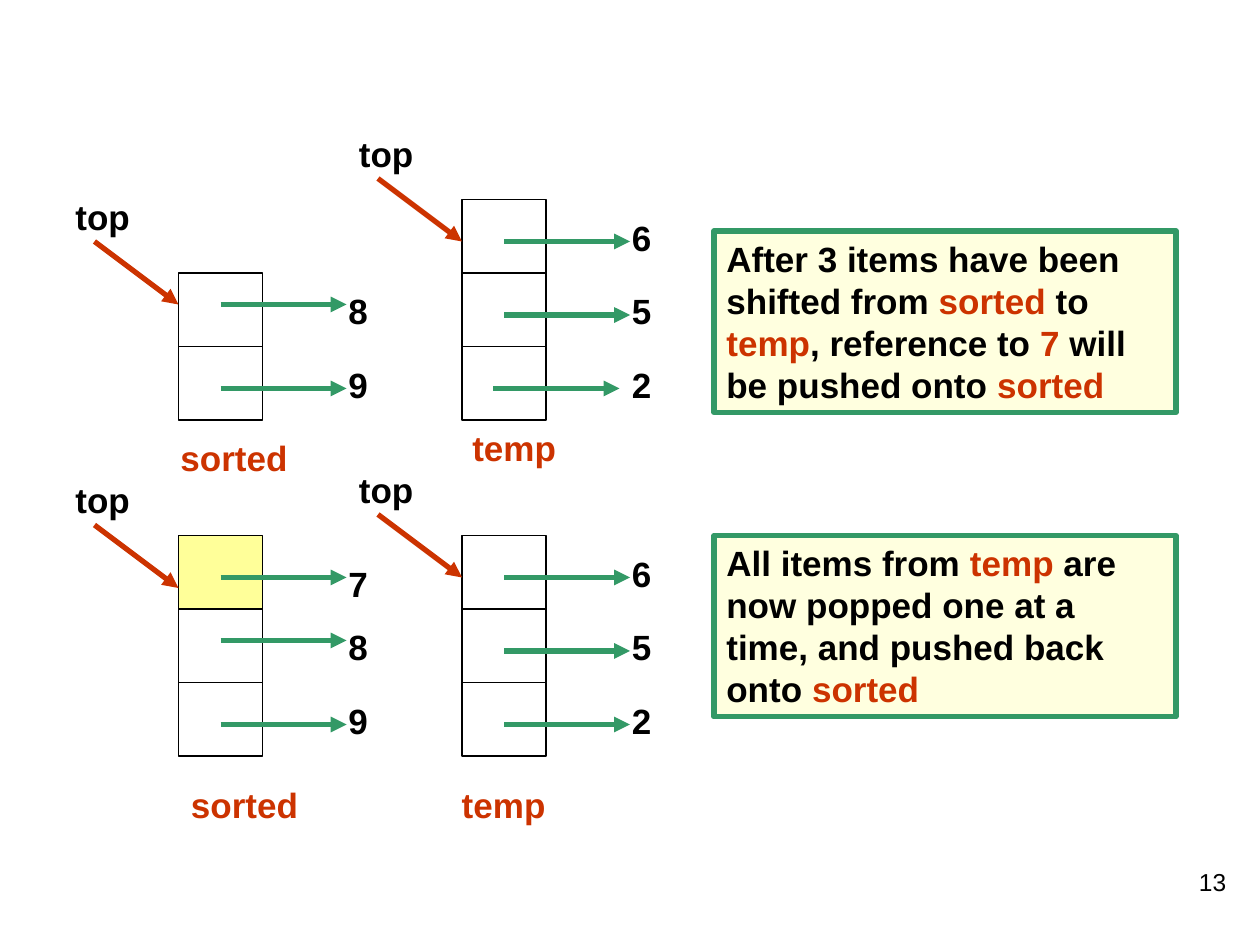
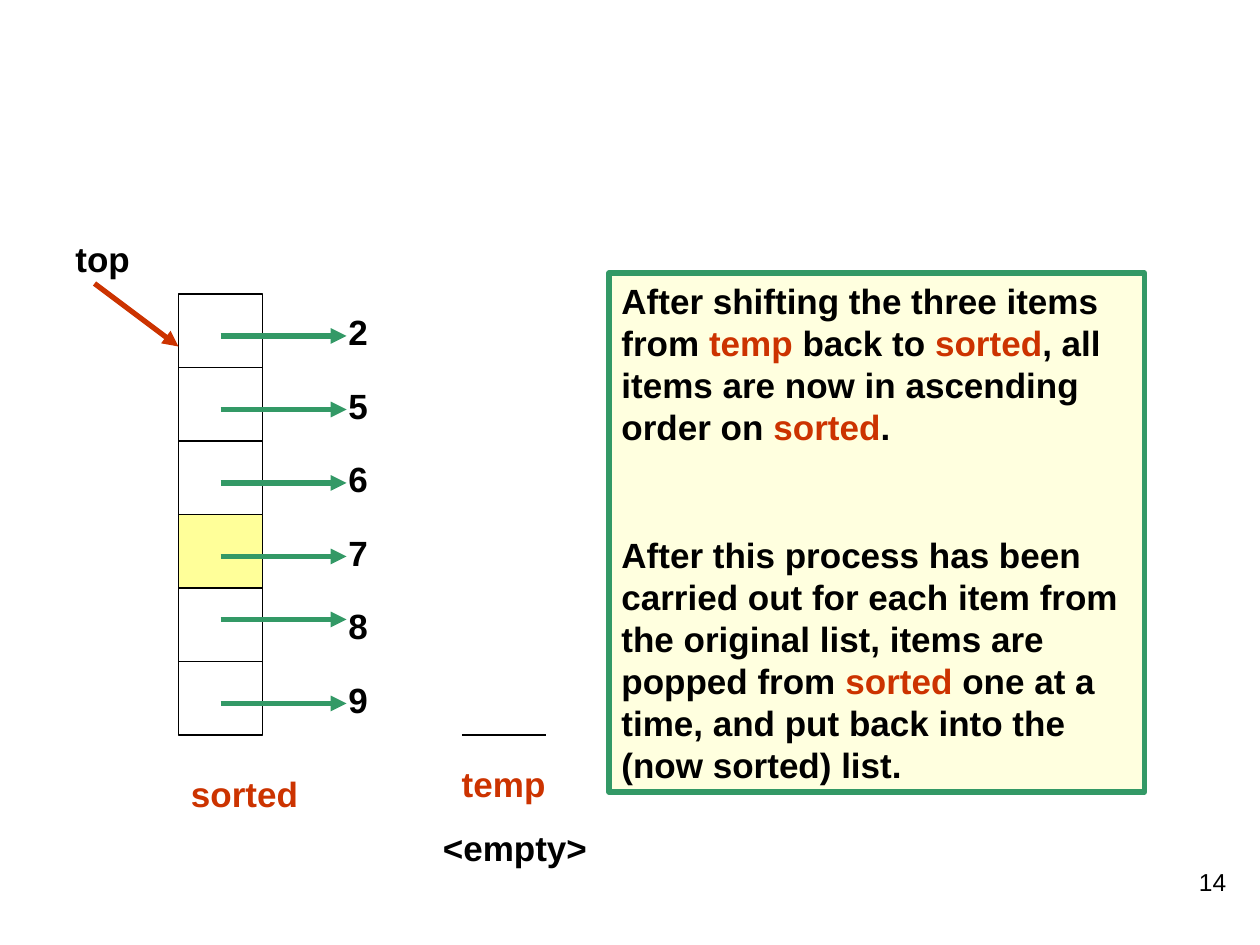
import pptx
import pptx.util
import pptx.dml.color
import pptx.enum.shapes
import pptx.enum.text
import pptx.oxml
import pptx.oxml.ns
from pptx.util import Inches

BLACK, RED, GREEN = "000000", "CC3300", "339966"
CREAM, YELLOW = "FFFFDF", "FFFF99"
UNIT = 1 / 12
CELL_WIDTH, CELL_HEIGHT, LABEL_HEIGHT = 8, 7, 5.3
BODY_FONT = {"name": "Arial", "size": pptx.util.Pt(20), "bold": True}
NUMBER_FONT = {"name": "Arial", "size": pptx.util.Pt(14), "bold": False}
RECTANGLE = pptx.enum.shapes.MSO_SHAPE.RECTANGLE
color = pptx.dml.color.RGBColor.from_string


def write(box, paragraphs, font=BODY_FONT, align="LEFT", gap=12.5, indent=0):
    frame = box.text_frame
    frame.word_wrap = True
    frame.vertical_anchor = pptx.enum.text.MSO_ANCHOR.TOP
    for index, words in enumerate(paragraphs):
        para = frame.add_paragraph() if index else frame.paragraphs[0]
        para.alignment = getattr(pptx.enum.text.PP_ALIGN, align)
        if index:
            para.space_before = pptx.util.Pt(gap)
        elif indent:
            para._p.get_or_add_pPr().set("indent", str(Inches(indent)))
        for part, piece in enumerate(words.split("*")):
            if piece:
                span = para.add_run()
                span.text = piece
                for name, value in font.items():
                    setattr(span.font, name, value)
                span.font.color.rgb = color(RED if part % 2 else BLACK)


def draw_line(page, ends, line_color, width=3, arrow=True):
    line = page.shapes.add_connector(
        pptx.enum.shapes.MSO_CONNECTOR.STRAIGHT, *[Inches(end * UNIT) for end in ends])
    line.line.color.rgb = color(line_color)
    line.line.width = pptx.util.Pt(width)
    if arrow:
        head = pptx.oxml.parse_xml(
            f'<a:tailEnd {pptx.oxml.ns.nsdecls("a")} type="triangle"/>')
        line.line._get_or_add_ln().append(head)
    line._element.spPr.append(
        pptx.oxml.parse_xml(f'<a:effectLst {pptx.oxml.ns.nsdecls("a")}/>'))


slides = [
    {
        "number": "13",
        "stacks": [
            {"left": 17, "top": 26, "items": "89", "pointer": 18},
            {"left": 44, "top": 19, "items": "652", "pointer": 12, "shifted": "2"},
            {"left": 17, "top": 51, "items": "789", "pointer": 45, "lowered": "7"},
            {"left": 44, "top": 51, "items": "652", "pointer": 44},
        ],
        "names": [
            (16, 41, 14, ["*sorted*"]),
            (42, 40, 17, ["*temp*"]),
            (17, 74, 14, ["*sorted*"]),
            (41, 74, 17, ["*temp*"]),
        ],
        "notes": [
            (68, 22, 44, 17.28, ["After 3 items have been shifted from *sorted* to *temp*, "
                                 "reference to *7* will be pushed onto *sorted*"]),
            (68, 51, 44, 17.28, ["All items from *temp* are now popped one at a time, "
                                 "and pushed back onto *sorted*"]),
        ],
    },
    {
        "number": "14",
        "stacks": [{"left": 17, "top": 28, "items": "256789", "pointer": 22}],
        "names": [
            (17, 73, 15, ["*sorted*"]),
            (41, 72, 17, ["*temp*", "<empty>"]),
        ],
        "notes": [
            (58, 26, 51, 49.44, [
                "After shifting the three items from *temp* back to *sorted*, "
                "all items are now in ascending order on *sorted*.",
                "After this process has been carried out for each item from the original "
                "list, items are popped from *sorted* one at a time, and put back into "
                "the (now sorted) list."]),
        ],
        "empty_stack": (44, 70, 52, 70),
    },
]

deck = pptx.Presentation()
deck.slide_width, deck.slide_height = Inches(10), Inches(7.5)

for content in slides:
    page = deck.slides.add_slide(deck.slide_layouts[6])

    for stack in content["stacks"]:
        left = stack["left"]
        for row, item in enumerate(stack["items"]):
            top = stack["top"] + row * CELL_HEIGHT
            place = [Inches(side * UNIT) for side in (left, top, CELL_WIDTH, CELL_HEIGHT)]
            cell = page.shapes.add_shape(RECTANGLE, *place)
            cell.shadow.inherit = False
            cell.line.color.rgb = color(BLACK)
            cell.line.width = pptx.util.Pt(0.75)
            if item == "7":
                cell.fill.solid()
                cell.fill.fore_color.rgb = color(YELLOW)
            else:
                cell.fill.background()

            label_top = top + (2 if item == stack.get("lowered") else 1)
            place = [Inches(side * UNIT) for side in (left + 15, label_top, 5, LABEL_HEIGHT)]
            write(page.shapes.add_textbox(*place), [item])

            start = left + (3 if item == stack.get("shifted") else 4)
            level = top + (3 if item == "8" else 4)
            draw_line(page, (start, level, start + 12, level), GREEN)

        pointer = stack["pointer"]
        place = [Inches(side * UNIT) for side in (left - 11, pointer, 10, LABEL_HEIGHT)]
        write(page.shapes.add_textbox(*place), ["top"])
        draw_line(page, (left - 8, pointer + 5, left, pointer + 11), RED)

    if "empty_stack" in content:
        draw_line(page, content["empty_stack"], BLACK, width=0.75, arrow=False)

    for left, top, width, paragraphs in content["names"]:
        height = LABEL_HEIGHT + 6 * (len(paragraphs) - 1)
        place = [Inches(side * UNIT) for side in (left, top, width, height)]
        write(page.shapes.add_textbox(*place), paragraphs,
              indent=0.15 if paragraphs[0] == "*temp*" else 0)

    for *sides, paragraphs in content["notes"]:
        note = page.shapes.add_shape(RECTANGLE, *[Inches(side * UNIT) for side in sides])
        note.shadow.inherit = False
        note.fill.solid()
        note.fill.fore_color.rgb = color(CREAM)
        note.line.color.rgb = color(GREEN)
        note.line.width = pptx.util.Pt(3)
        write(note, paragraphs, gap=49)

    number = page.shapes.add_textbox(Inches(7.75), Inches(6.83), Inches(2.08), Inches(0.5))
    write(number, [content["number"]], font=NUMBER_FONT, align="RIGHT")

deck.save("out.pptx")
